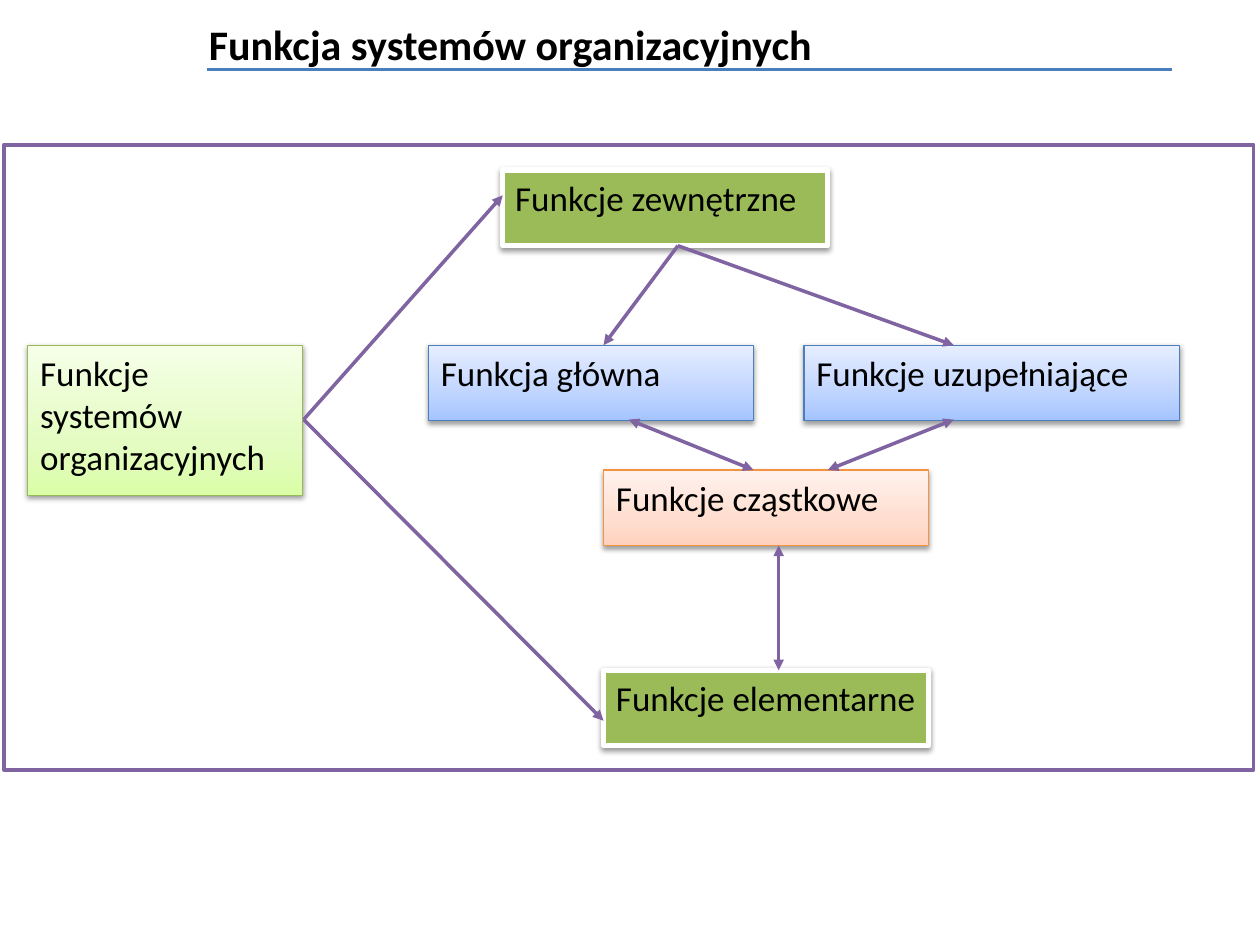
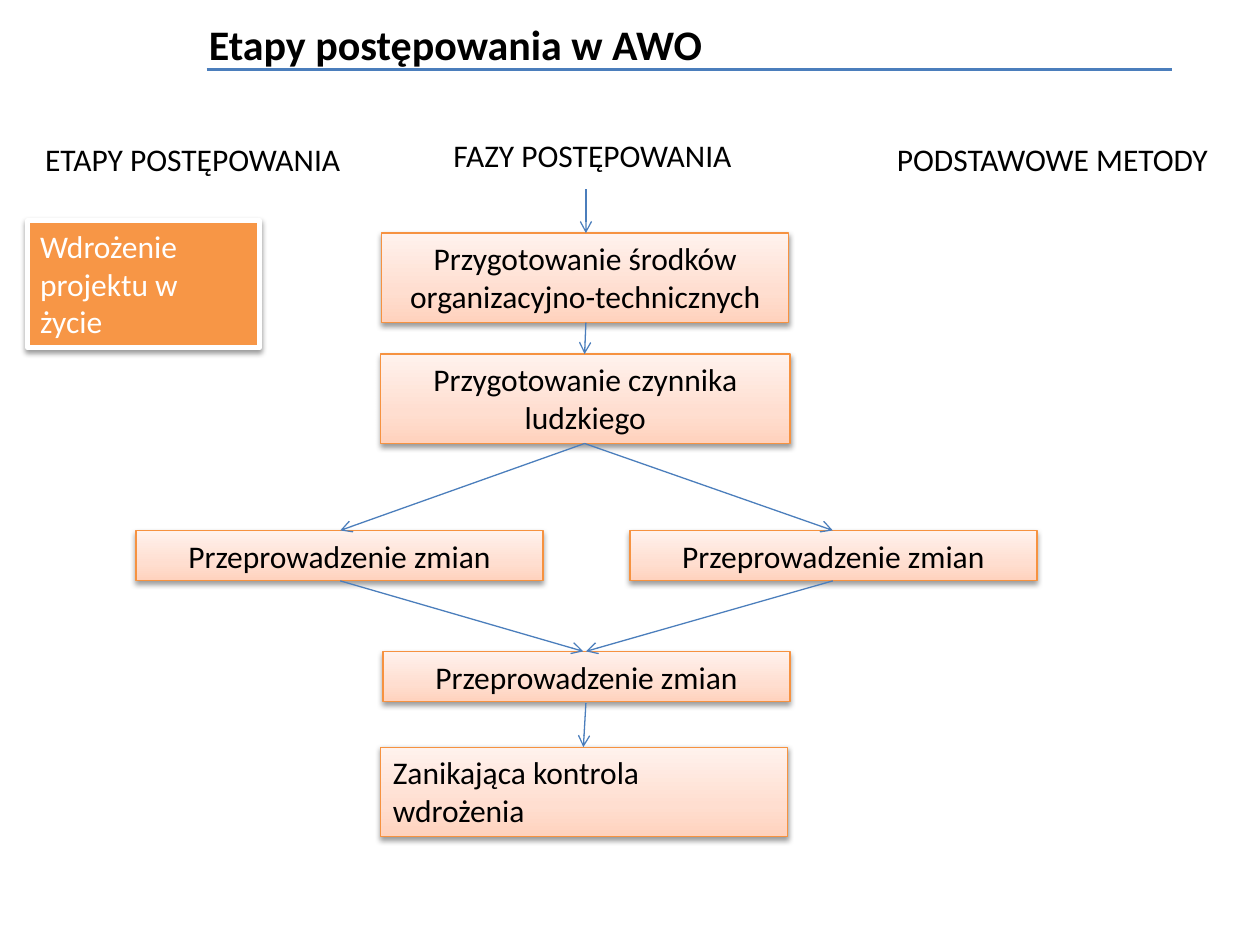
"""Build two slides on the functions of organisational systems and the AWO stages."""
from lxml import etree
from pptx import Presentation
from pptx.dml.color import RGBColor
from pptx.enum import shapes, text
from pptx.oxml import ns
from pptx.util import Inches, Pt

BLACK = RGBColor(0x00, 0x00, 0x00)
WHITE = RGBColor(0xFF, 0xFF, 0xFF)
BLUE = RGBColor(0x4B, 0x7E, 0xBC)
PURPLE = RGBColor(0x80, 0x64, 0xA2)
GREEN = RGBColor(0x9B, 0xBB, 0x59)
LEAF = RGBColor(0x98, 0xB9, 0x55)
ORANGE = RGBColor(0xF7, 0x96, 0x46)
RUST = RGBColor(0xF6, 0x92, 0x40)
LIME = [RGBColor(0xDA, 0xFD, 0xA7), RGBColor(0xE4, 0xFC, 0xC2), RGBColor(0xF5, 0xFF, 0xE7)]
SKY = [RGBColor(0xA4, 0xC4, 0xFF), RGBColor(0xBF, 0xD4, 0xFF), RGBColor(0xE6, 0xEE, 0xFF)]
PEACH = [RGBColor(0xFF, 0xD2, 0xBD), RGBColor(0xFF, 0xDE, 0xD0), RGBColor(0xFF, 0xF2, 0xED)]
LEFT, MID = text.PP_ALIGN.LEFT, text.PP_ALIGN.CENTER
FIT, FIXED = text.MSO_AUTO_SIZE.SHAPE_TO_FIT_TEXT, text.MSO_AUTO_SIZE.NONE


def box(home, place, words, size, fill=None, edge=WHITE, ink=BLACK, align=LEFT, fit=FIXED):
    spot = [Inches(n) for n in place]
    if fill is None:
        shape = home.add_textbox(*spot)
    else:
        shape = home.add_shape(shapes.MSO_SHAPE.RECTANGLE, *spot)
        shape.line.color.rgb = edge
        shape.line.width = Pt(3 if edge == WHITE else 0.75)
        shape.shadow.inherit = False
        props = shape._element.spPr
        if isinstance(fill, list):
            grad = etree.Element(ns.qn("a:gradFill"), rotWithShape="1")
            stops = etree.SubElement(grad, ns.qn("a:gsLst"))
            for pos, tone in zip((0, 35000, 100000), fill):
                stop = etree.SubElement(stops, ns.qn("a:gs"), pos=str(pos))
                etree.SubElement(stop, ns.qn("a:srgbClr"), val=str(tone))
            etree.SubElement(grad, ns.qn("a:lin"), ang="16200000", scaled="1")
            props.find(ns.qn("a:prstGeom")).addnext(grad)
        else:
            shape.fill.solid()
            shape.fill.fore_color.rgb = fill
        shade = etree.SubElement(props.find(ns.qn("a:effectLst")), ns.qn("a:outerShdw"),
                                 blurRad=str(Pt(3.1)), dist=str(Pt(1.6)),
                                 dir="5400000", rotWithShape="0")
        tint = etree.SubElement(shade, ns.qn("a:srgbClr"), val=str(BLACK))
        etree.SubElement(tint, ns.qn("a:alpha"), val="38000")
    frame = shape.text_frame
    frame.word_wrap = True
    frame.auto_size = fit
    frame.vertical_anchor = text.MSO_ANCHOR.TOP
    para = frame.paragraphs[0]
    para.alignment = align
    run = para.add_run()
    run.text = words
    run.font.name = "Calibri"
    run.font.size = Pt(size)
    run.font.color.rgb = ink
    return shape


def link(home, ends, color, width, head=None, tail=None):
    line = home.add_connector(shapes.MSO_CONNECTOR.STRAIGHT, *[Inches(n) for n in ends])
    line.line.color.rgb = color
    line.line.width = Pt(width)
    for tag, kind in (("a:headEnd", head), ("a:tailEnd", tail)):
        if kind:
            etree.SubElement(line.line._get_or_add_ln(), ns.qn(tag), type=kind)
    etree.SubElement(line._element.spPr, ns.qn("a:effectLst"))


deck = Presentation()
deck.slide_width, deck.slide_height = Inches(10), Inches(7.5)
pages = []
for words in ("Funkcja systemów organizacyjnych", "Etapy postępowania w AWO"):
    page = deck.slides.add_slide(deck.slide_layouts[6]).shapes
    title = box(page, (1.56, 0, 7.91, 0.7), words, 24)
    title.text_frame.vertical_anchor = text.MSO_ANCHOR.MIDDLE
    title.text_frame.paragraphs[0].runs[0].font.bold = True
    link(page, (1.64, 0.55, 9.3, 0.55), BLUE, 2)
    pages.append(page)
first, second = pages

chart = first.add_group_shape().shapes
panel = chart.add_shape(shapes.MSO_SHAPE.RECTANGLE, Inches(0.03), Inches(1.15),
                        Inches(9.92), Inches(4.96))
panel.shadow.inherit = False
panel.fill.solid()
panel.fill.fore_color.rgb = WHITE
panel.line.color.rgb = PURPLE
panel.line.width = Pt(2)

box(chart, (0.22, 2.74, 2.18, 1.19), "Funkcje systemów organizacyjnych", 20, LIME, LEAF)
for left, top, width, words, fill, edge in (
    (3.99, 1.35, 2.58, "Funkcje zewnętrzne", GREEN, WHITE),
    (3.4, 2.74, 2.58, "Funkcja główna", SKY, BLUE),
    (6.38, 2.74, 2.98, "Funkcje uzupełniające", SKY, BLUE),
    (4.79, 3.73, 2.58, "Funkcje cząstkowe", PEACH, RUST),
    (4.79, 5.32, 2.58, "Funkcje elementarne", GREEN, WHITE),
):
    box(chart, (left, top, width, 0.6), words, 20, fill, edge)

for ends in ((2.41, 3.33, 3.99, 1.55), (2.41, 3.33, 4.79, 5.72),
             (5.38, 1.95, 4.79, 2.74), (5.38, 1.95, 7.57, 2.74)):
    link(chart, ends, PURPLE, 2, tail="triangle")
for ends in ((4.99, 3.33, 5.98, 3.73), (7.57, 3.33, 6.57, 3.73), (6.18, 4.33, 6.18, 5.32)):
    link(chart, ends, PURPLE, 2, head="triangle", tail="triangle")

for left, top, words in ((0.26, 1.06, "ETAPY POSTĘPOWANIA"),
                         (3.5, 1.03, "FAZY POSTĘPOWANIA"),
                         (7.02, 1.06, "PODSTAWOWE METODY")):
    box(second, (left, top, 2.76, 0.4), words, 18, fit=FIT)

box(second, (0.22, 1.75, 1.84, 1.01), "Wdrożenie projektu w życie", 18, ORANGE, ink=WHITE, fit=FIT)
change = "Przeprowadzenie zmian"
for left, top, width, high, words, align in (
    (3.03, 1.85, 3.23, 0.71, "Przygotowanie środków organizacyjno-technicznych", MID),
    (3.02, 2.81, 3.25, 0.71, "Przygotowanie czynnika ludzkiego", MID),
    (1.08, 4.21, 3.23, 0.4, change, MID),
    (5, 4.21, 3.23, 0.4, change, MID),
    (3.04, 5.17, 3.23, 0.4, change, MID),
    (3.02, 5.93, 3.23, 0.71, "Zanikająca kontrola wdrożenia", LEFT),
):
    box(second, (left, top, width, high), words, 18, PEACH, RUST, align=align, fit=FIT)

for ends in ((4.65, 1.5, 4.65, 1.85), (4.65, 2.56, 4.64, 2.81),
             (4.64, 3.52, 2.7, 4.21), (4.64, 3.52, 6.61, 4.21),
             (2.7, 4.61, 4.63, 5.17), (6.61, 4.61, 4.65, 5.17),
             (4.65, 5.58, 4.63, 5.93)):
    link(second, ends, BLUE, 0.75, tail="arrow")

deck.save("out.pptx")
